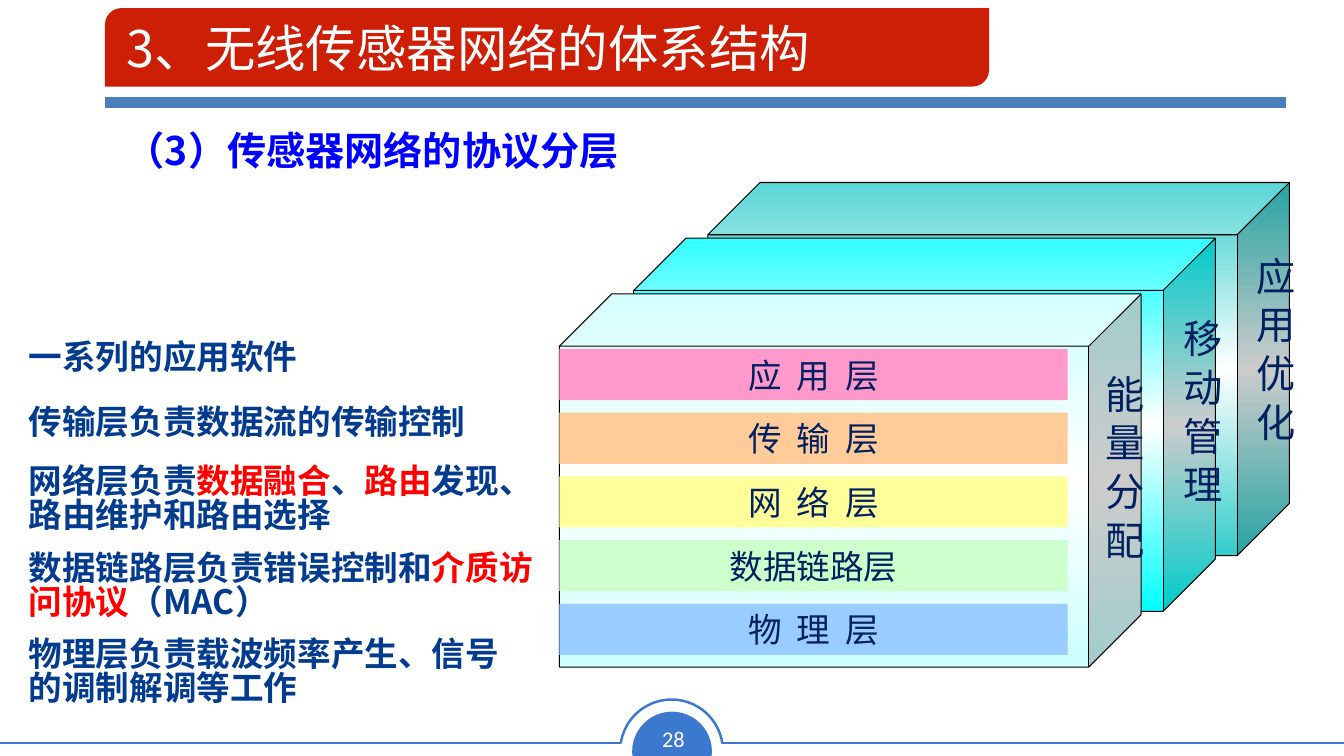
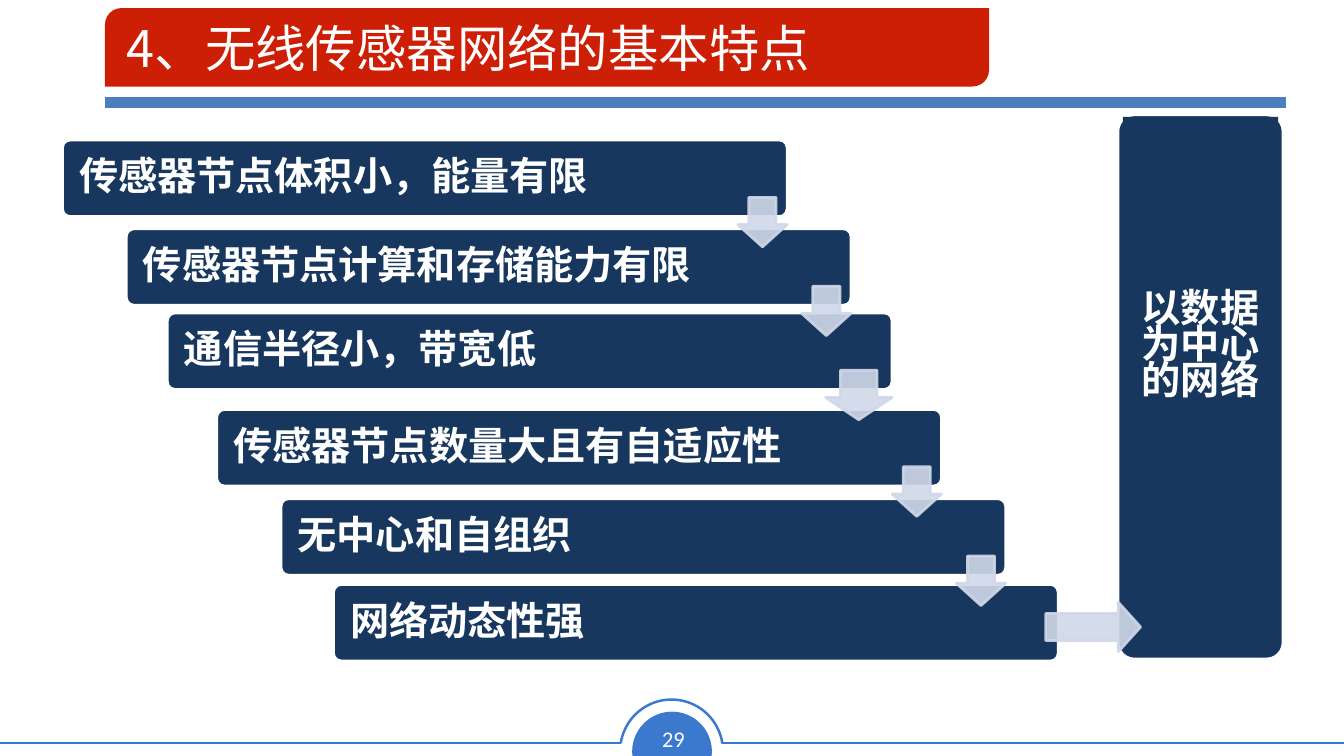
from lxml.etree import SubElement
from pptx import Presentation
from pptx.dml.color import RGBColor
from pptx.enum.shapes import MSO_CONNECTOR, MSO_SHAPE
from pptx.enum.text import MSO_ANCHOR, PP_ALIGN
from pptx.oxml.ns import qn
from pptx.util import Pt

COLORS = {
    "white": "FFFFFF", "black": "000000", "title": "CD1F06", "rule": "4B7EBC",
    "footer": "3B79CE", "heading": "0000FF", "note": "033C8F", "key": "FF0000",
    "layer_text": "002060", "step": "17375E", "arrow": "D0D8E8",
    "teal": "33CCCC", "cyan": "00FFFF", "ice": "CCFFFF",
    "pink": "FF99CC", "orange": "FFCC99", "yellow": "FFFF99",
    "green": "CCFFCC", "blue": "99CCFF",
}
FONT = "Noto Sans CJK SC"


def rgb(name):
    return RGBColor.from_string(COLORS[name])


def write_text(shape, text, size=24, color="white", bold=False, font=FONT,
               align=PP_ALIGN.LEFT, anchor=MSO_ANCHOR.MIDDLE, spacing=None,
               tracking=None, insets=(7.2, 3.6), wrap=True, vertical=False):
    frame = shape.text_frame
    frame.word_wrap = wrap
    frame.vertical_anchor = anchor
    frame.margin_left = frame.margin_right = Pt(insets[0])
    frame.margin_top = frame.margin_bottom = Pt(insets[1])
    if vertical:
        shape.element.txBody.bodyPr.set("vert", "eaVert")
    para = frame.paragraphs[0]
    para.alignment = align
    if spacing:
        para.line_spacing = spacing
    parts = [(text, color)] if isinstance(text, str) else text
    for words, shade in parts:
        span = para.add_run()
        span.text = words
        span.font.size = Pt(size)
        span.font.bold = bold
        span.font.color.rgb = rgb(shade)
        span.font.name = font
        properties = span._r.get_or_add_rPr()
        SubElement(properties, qn("a:ea")).set("typeface", font)
        if tracking:
            properties.set("spc", str(int(tracking * 100)))


class Deck:
    def __init__(self):
        self.deck = Presentation()
        self.deck.slide_width = Pt(960)
        self.deck.slide_height = Pt(540)
        self.page = None

    def add_page(self, title, number):
        self.page = self.deck.slides.add_slide(self.deck.slide_layouts[6])
        disc = self.shape(MSO_SHAPE.CHORD, 451.5, 508.3, 57, 57, "footer",
                          adjust=(35.77, 153.29))
        disc.rotation = 112.4
        self.rule(516, 530.6, 960, "footer", 1.77)
        self.rule(0, 530.6, 443.5, "footer", 1.77)
        self.shape(MSO_SHAPE.ARC, 443, 499.7, 73.4, 73.4, line="footer",
                   weight=1.77, adjust=(113.17, 210.98))
        self.text(464.5, 514, 33, 27, number, size=16, font="Calibri",
                  align=PP_ALIGN.CENTER, wrap=False)
        self.rule(75, 73.2, 918.5, "rule", 8)
        self.shape(MSO_SHAPE.ROUND_2_DIAG_RECTANGLE, 75, 5.8, 631.5, 56,
                   "title", adjust=(0.21, 0))
        self.text(83.5, 7.2, 833, 53.3, title, size=36)

    def shape(self, kind, left, top, width, height, fill=None, line=None,
              weight=0.75, adjust=(), alpha=None):
        shape = self.page.shapes.add_shape(
            kind, Pt(left), Pt(top), Pt(width), Pt(height))
        shape.shadow.inherit = False
        for index, value in enumerate(adjust):
            shape.adjustments[index] = value
        if fill:
            shape.fill.solid()
            shape.fill.fore_color.rgb = rgb(fill)
        else:
            shape.fill.background()
        if line:
            shape.line.color.rgb = rgb(line)
            shape.line.width = Pt(weight)
        else:
            shape.line.fill.background()
        if alpha:
            for color in shape.element.spPr.iter(qn("a:srgbClr")):
                SubElement(color, qn("a:alpha")).set("val", str(alpha * 1000))
        return shape

    def rule(self, start, top, end, color, weight):
        line = self.page.shapes.add_connector(
            MSO_CONNECTOR.STRAIGHT, Pt(start), Pt(top), Pt(end), Pt(top))
        line.line.color.rgb = rgb(color)
        line.line.width = Pt(weight)
        SubElement(line.element.spPr, qn("a:effectLst"))

    def text(self, left, top, width, height, text, **style):
        box = self.page.shapes.add_textbox(
            Pt(left), Pt(top), Pt(width), Pt(height))
        write_text(box, text, **style)

    def cube(self, left, top, color):
        cube = self.shape(MSO_SHAPE.CUBE, left, top, 415.5, 266.5,
                          line="black", adjust=(0.14,))
        cube.fill.gradient()
        cube.fill.gradient_angle = 270
        stops = next(cube.element.spPr.iter(qn("a:gsLst")))
        for stop in list(stops):
            stops.remove(stop)
        for position, name in ((0, color), (50, "white"), (100, color)):
            stop = SubElement(stops, qn("a:gs"))
            stop.set("pos", str(position * 1000))
            SubElement(stop, qn("a:srgbClr")).set("val", COLORS[name])

    def layer(self, top, text, color, tracking):
        bar = self.shape(MSO_SHAPE.RECTANGLE, 399.6, top, 363, 36.5, color)
        write_text(bar, text, color="layer_text", align=PP_ALIGN.CENTER,
                   tracking=tracking)

    def step(self, left, top, width, height, text=None):
        box = self.shape(MSO_SHAPE.ROUNDED_RECTANGLE, left, top, width, height,
                         "step", "white", 2, adjust=(0.1,))
        if text:
            write_text(box, text, size=28, bold=True, spacing=0.9,
                       insets=(10.3, 8.6))

    def arrow(self, kind, left, top, width, height):
        self.shape(kind, left, top, width, height, "arrow", "arrow", 2,
                   adjust=(0.55, 0.45), alpha=90)


def build_layers(deck):
    deck.add_page("3、无线传感器网络的体系结构", "28")
    for depth, color in ((2, "teal"), (1, "cyan"), (0, "ice")):
        deck.cube(399.6 + 53 * depth, 210 - 39.8 * depth, color)
    layers = (
        ("应 用 层", "pink", 2.7), ("传 输 层", "orange", 2.7),
        ("网 络 层", "yellow", 2.7), ("数据链路层", "green", None),
        ("物 理 层", "blue", 2.7),
    )
    for index, (text, color, tracking) in enumerate(layers):
        deck.layer(249.3 + 45.5 * index, text, color, tracking)
    planes = ((774.7, 260.6, "能 量 分 配"), (830.9, 221, "移 动 管 理"),
              (882.7, 176.4, "应 用 优 化"))
    for left, top, text in planes:
        deck.text(left, top, 48.2, 170, text, size=28, color="layer_text",
                  anchor=MSO_ANCHOR.TOP, vertical=True)
    deck.text(82.8, 81.4, 727, 48.2, "（3）传感器网络的协议分层", size=28,
              color="heading", bold=True, spacing=1.1)
    notes = (
        (234, 582, "一系列的应用软件"),
        (280, 346, "传输层负责数据流的传输控制"),
        (334.8, 355, [("网络层负责", "note"), ("数据融合", "key"),
                      ("、", "note"), ("路由", "key"),
                      ("发现、路由维护和路由选择", "note")]),
        (396.7, 382, [("数据链路层负责错误控制和", "note"),
                      ("介质访问协议", "key"), ("（MAC）", "note")]),
        (458, 363, "物理层负责载波频率产生、信号的调制解调等工作"),
    )
    for top, width, text in notes:
        deck.text(13.5, top, width, 45.4, text, color="note", bold=True,
                  spacing=0.85)


def build_features(deck):
    deck.add_page("4、无线传感器网络的基本特点", "29")
    width, height, arrow = 517.7, 54.7, 35.3
    steps = (
        (44.6, 100, "传感器节点体积小，能量有限"),
        (90.2, 163.4, "传感器节点计算和存储能力有限"),
        (119.5, 223.5, "通信半径小，带宽低"),
        (154.8, 292.5, "传感器节点数量大且有自适应性"),
        (200.7, 356.2, "无中心和自组织"),
        (238.2, 417.5, "网络动态性强"),
    )
    for left, top, text in steps:
        deck.step(left, top, width, height, text)
    arrow_widths = (arrow, arrow, 47.5, arrow, arrow)
    for (left, top, _), span in zip(steps, arrow_widths):
        deck.arrow(MSO_SHAPE.DOWN_ARROW, left + width - span, top + 41,
                   span, arrow)
    deck.step(798.5, 82, 118, 388.8)
    panel = deck.shape(MSO_SHAPE.RECTANGLE, 802, 83.5, 111, 329.8, "step")
    write_text(panel, "以数据为中心的网络", size=28, bold=True, spacing=0.76,
               align=PP_ALIGN.CENTER, insets=(5.8, 5.8))
    deck.arrow(MSO_SHAPE.RIGHT_ARROW, 747, 430.2, 67.7, arrow)


def main():
    deck = Deck()
    build_layers(deck)
    build_features(deck)
    deck.deck.save("out.pptx")


if __name__ == "__main__":
    main()
